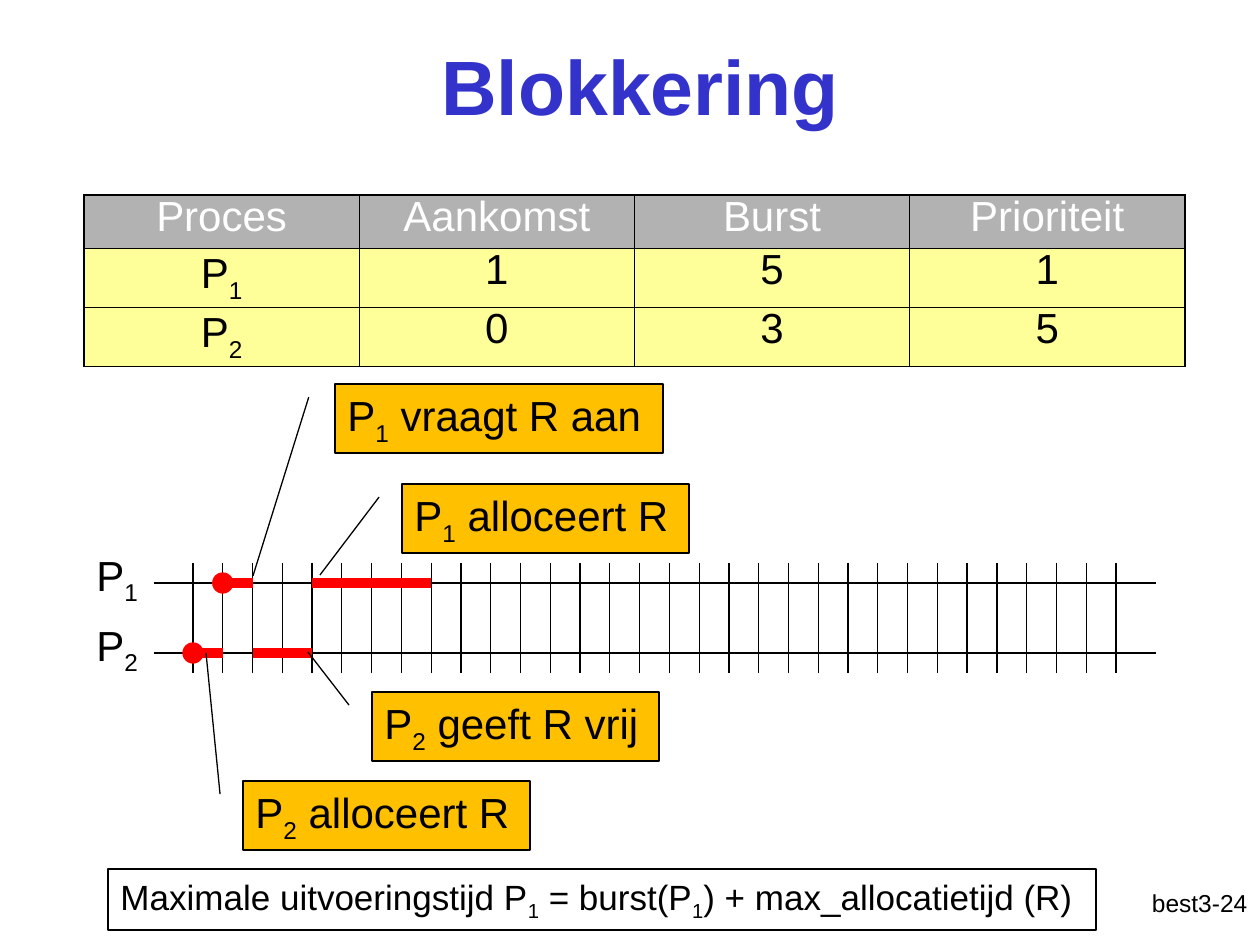
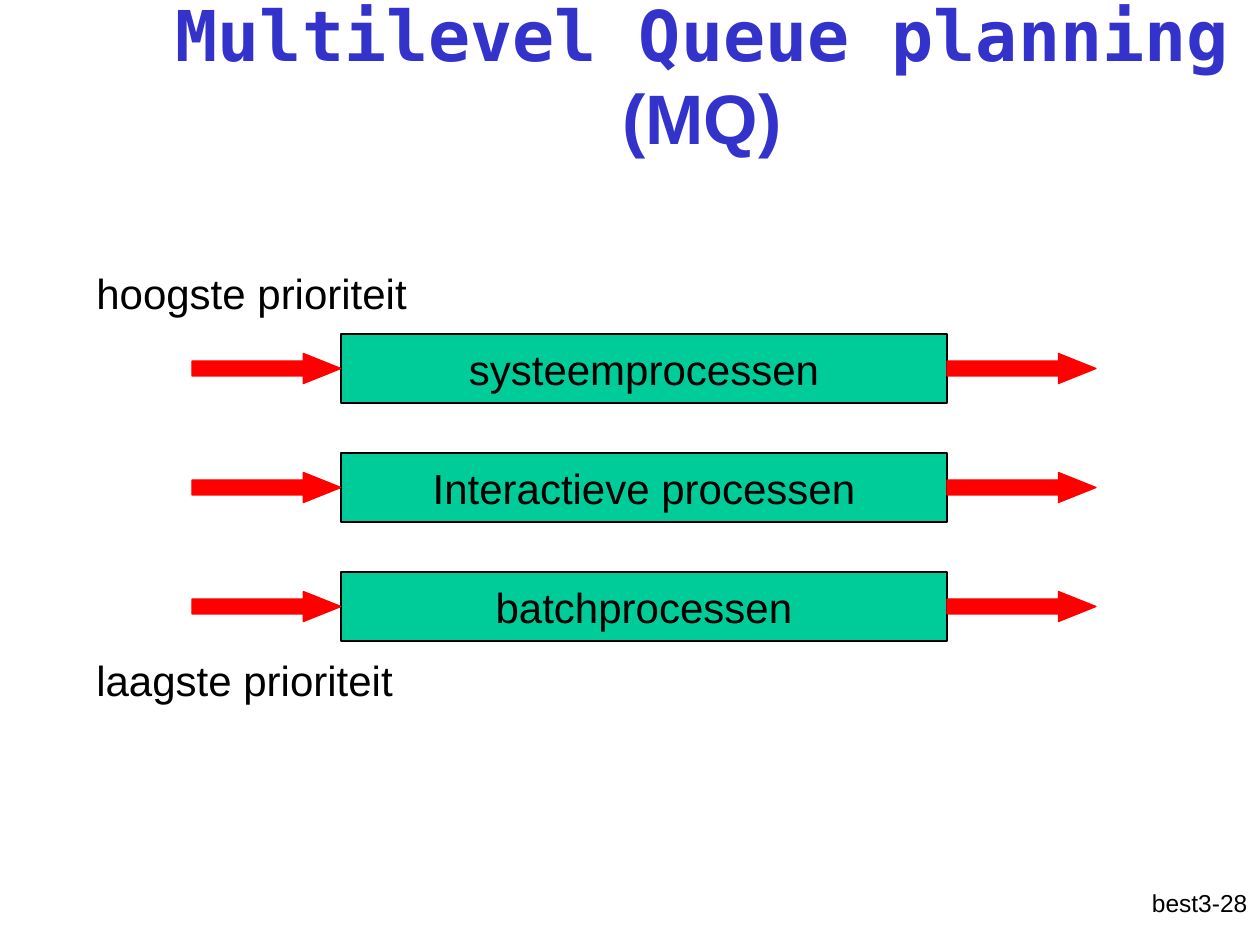
from lxml import etree
from pptx import Presentation
from pptx.dml.color import RGBColor
from pptx.enum.shapes import MSO_CONNECTOR, MSO_SHAPE
from pptx.enum.text import MSO_ANCHOR as ANCHOR, MSO_AUTO_SIZE as AUTO, PP_ALIGN as ALIGN
from pptx.oxml.ns import qn
from pptx.util import Pt

# Content; "~" before a digit makes it a subscript
BLOCKING = {
    "title": "Blokkering",
    "footer": "best3-24",
    "table": [
        ("Proces", "Aankomst", "Burst", "Prioriteit"),
        ("P~1", "1", "5", "1"),
        ("P~2", "0", "3", "5"),
    ],
    # process, height of its line, bursts as (from tick, to tick)
    "timeline": [
        ("P~1", 583, [(1, 2), (4, 8)]),
        ("P~2", 653, [(0, 1), (2, 4)]),
    ],
    # text, left, top, width, point it refers to
    "callouts": [
        ("P~2 alloceert R", 243, 781, 287, (206, 653)),
        ("P~1 vraagt R aan", 335, 384, 328, (253, 576)),
        ("P~2 geeft R vrij", 372, 692, 287, (308, 652)),
        ("P~1 alloceert R", 402, 484, 287, (320, 575)),
    ],
    "formula": "Maximale uitvoeringstijd P~1 = burst(P~1) + max_allocatietijd (R)",
}
MULTILEVEL = {
    "title": ("Multilevel Queue planning ", "(MQ)"),
    "footer": "best3-28",
    "queues": ["systeemprocessen", "Interactieve processen", "batchprocessen"],
    "labels": [("hoogste prioriteit", 261), ("laagste prioriteit", 648)],
}

# Shared look
C = {"title": "3333CC", "text": "000000", "line": "000000", "head": "B2B2B2",
     "head_text": "FFFFFF", "cell": "FFFF99", "red": "FF0000",
     "callout": "FFC000", "queue": "00CC99"}
BODY = {"name": "Arial", "size": Pt(24), "color": C["text"]}
HEAD = {**BODY, "color": C["head_text"]}
FORMULA = {**BODY, "size": Pt(20)}
FOOTER = {**BODY, "size": Pt(14)}
TITLE = {"name": "Arial", "size": Pt(44), "bold": True, "color": C["title"]}
TITLE_SMALL = {**TITLE, "size": Pt(40)}
TITLE_MONO = {**TITLE_SMALL, "name": "DejaVu Sans Mono"}

BOX_H = 69
LABEL_X = 84
TICKS, TICK_FIRST, TICK_LAST = 32, 193, 1116
TICK_TOP, TICK_BOTTOM = 563, 673
AXIS_LEFT, AXIS_RIGHT = 154, 1156
DOT = 20


def px(n):
    return round(n * 914400 / 126)


def rgb(value):
    return RGBColor.from_string(value)


def add_run(p, text, fmt):
    r = p.add_run()
    r.text = text
    for key, value in fmt.items():
        if key == "color":
            r.font.color.rgb = rgb(value)
        else:
            setattr(r.font, key, value)
    return r


def write(p, text, fmt, align=ALIGN.LEFT):
    p.alignment = align
    first, *rest = text.split("~")
    if first:
        add_run(p, first, fmt)
    for part in rest:
        sub = add_run(p, part[0], fmt)
        sub.font._element.set("baseline", "-25000")
        if part[1:]:
            add_run(p, part[1:], fmt)


def add_text(s, box, text="", fmt=BODY, align=ALIGN.LEFT, anchor=ANCHOR.TOP, grow=False):
    tf = s.shapes.add_textbox(*map(px, box)).text_frame
    tf.word_wrap = True
    tf.vertical_anchor = anchor
    tf.auto_size = AUTO.SHAPE_TO_FIT_TEXT if grow else AUTO.NONE
    write(tf.paragraphs[0], text, fmt, align)
    return tf


def add_shape(s, kind, box, fill=None, line=C["line"]):
    sp = s.shapes.add_shape(kind, *map(px, box))
    sp.shadow.inherit = False
    if fill:
        sp.fill.solid()
        sp.fill.fore_color.rgb = rgb(fill)
    else:
        sp.fill.background()
    sp.line.color.rgb = rgb(line)
    sp.line.width = Pt(0.75)
    return sp


def label_shape(sp, text, fmt=BODY, align=ALIGN.LEFT, anchor=ANCHOR.MIDDLE, wrap=False):
    tf = sp.text_frame
    tf.word_wrap = wrap
    tf.vertical_anchor = anchor
    write(tf.paragraphs[0], text, fmt, align)


def add_line(shapes, x1, y1, x2, y2, color=C["line"], width=0.75):
    cn = shapes.add_connector(MSO_CONNECTOR.STRAIGHT, *map(px, (x1, y1, x2, y2)))
    cn.line.color.rgb = rgb(color)
    cn.line.width = Pt(width)
    etree.SubElement(cn._element.spPr, qn("a:effectLst"))


def add_slide(prs, footer):
    s = prs.slides.add_slide(prs.slide_layouts[6])
    add_text(s, (998, 882, 262, 63), footer, FOOTER, ALIGN.RIGHT)
    return s


def set_borders(cell, widths):
    tcPr = cell._tc.get_or_add_tcPr()
    for side, width in widths.items():
        ln = etree.SubElement(tcPr, qn("a:ln" + side), w=str(Pt(width)))
        fill = etree.SubElement(ln, qn("a:solidFill"))
        etree.SubElement(fill, qn("a:srgbClr"), val=C["line"])


def add_process_table(s, rows):
    heights = (53, 59, 59)
    n_rows, n_cols = len(rows), len(rows[0])
    frame = s.shapes.add_table(n_rows, n_cols, *map(px, (LABEL_X, 195, 1101, sum(heights))))
    table = frame.table
    table.first_row = table.horz_banding = False
    for i, row in enumerate(rows):
        table.rows[i].height = px(heights[i])
        for j, text in enumerate(row):
            cell = table.cell(i, j)
            outer = {"L": j == 0, "R": j == n_cols - 1, "T": i == 0, "B": False}
            set_borders(cell, {side: 1.08 if out else 0.45 for side, out in outer.items()})
            cell.fill.solid()
            cell.fill.fore_color.rgb = rgb(C["cell"] if i else C["head"])
            p = cell.text_frame.paragraphs[0]
            p.line_spacing = 0.8
            write(p, text, BODY if i else HEAD, ALIGN.CENTER)


def tick_x(i):
    return TICK_FIRST + i * (TICK_LAST - TICK_FIRST) / (TICKS - 1)


def add_timeline(s, processes):
    for name, y, _ in processes:
        add_line(s.shapes, AXIS_LEFT, y, AXIS_RIGHT, y)
        add_text(s, (LABEL_X, y - 40, 79, 70), name, grow=True)
    ticks = s.shapes.add_group_shape()
    for i in range(TICKS):
        add_line(ticks.shapes, tick_x(i), TICK_TOP, tick_x(i), TICK_BOTTOM)
    for _, y, bursts in processes:
        for start, end in bursts:
            add_line(s.shapes, tick_x(start), y, tick_x(end), y, C["red"], 6)
        arrival = tick_x(bursts[0][0])
        add_shape(s, MSO_SHAPE.OVAL, (arrival - DOT / 2, y - DOT / 2, DOT, DOT),
                  C["red"], C["red"])


def add_callout(s, text, x, y, w, target):
    sp = add_shape(s, MSO_SHAPE.LINE_CALLOUT_1, (x, y, w, BOX_H), C["callout"])
    pointer = (0.19, -0.08, (target[1] - y) / BOX_H, (target[0] - x) / w)
    for i, value in enumerate(pointer):
        sp.adjustments[i] = value
    label_shape(sp, text)


def build_blocking(prs):
    d = BLOCKING
    s = add_slide(prs, d["footer"])
    add_text(s, (105, 6, 1071, 158), d["title"], TITLE, ALIGN.CENTER, ANCHOR.MIDDLE)
    add_process_table(s, d["table"])
    add_timeline(s, d["timeline"])
    formula = add_shape(s, MSO_SHAPE.RECTANGLE, (108, 869, 988, 61))
    label_shape(formula, d["formula"], FORMULA, anchor=ANCHOR.TOP, wrap=True)
    for callout in d["callouts"]:
        add_callout(s, *callout)


def build_multilevel(prs):
    d = MULTILEVEL
    s = add_slide(prs, d["footer"])
    mono, plain = d["title"]
    tf = add_text(s, (119, -4, 1166, 158), mono, TITLE_MONO, ALIGN.CENTER, ANCHOR.MIDDLE)
    add_run(tf.paragraphs[0], plain, TITLE_SMALL)

    # Queues with an arrow in and an arrow out
    left, top, width, step = 341, 334, 606, 119
    arrow_w, arrow_h = 149, 30
    for i, name in enumerate(d["queues"]):
        y = top + i * step
        queue = add_shape(s, MSO_SHAPE.RECTANGLE, (left, y, width, BOX_H), C["queue"])
        label_shape(queue, name, align=ALIGN.CENTER)
        for x in (left - arrow_w, left + width):
            arrow = add_shape(s, MSO_SHAPE.RIGHT_ARROW,
                              (x, y + (BOX_H - arrow_h) / 2, arrow_w, arrow_h),
                              C["red"], C["red"])
            arrow.adjustments[1] = 1.25
    for text, y in d["labels"]:
        add_text(s, (LABEL_X, y, 417, 63), text, grow=True)


def main():
    prs = Presentation()
    prs.slide_width, prs.slide_height = px(1260), px(945)
    build_blocking(prs)
    build_multilevel(prs)
    prs.save("out.pptx")


if __name__ == "__main__":
    main()
